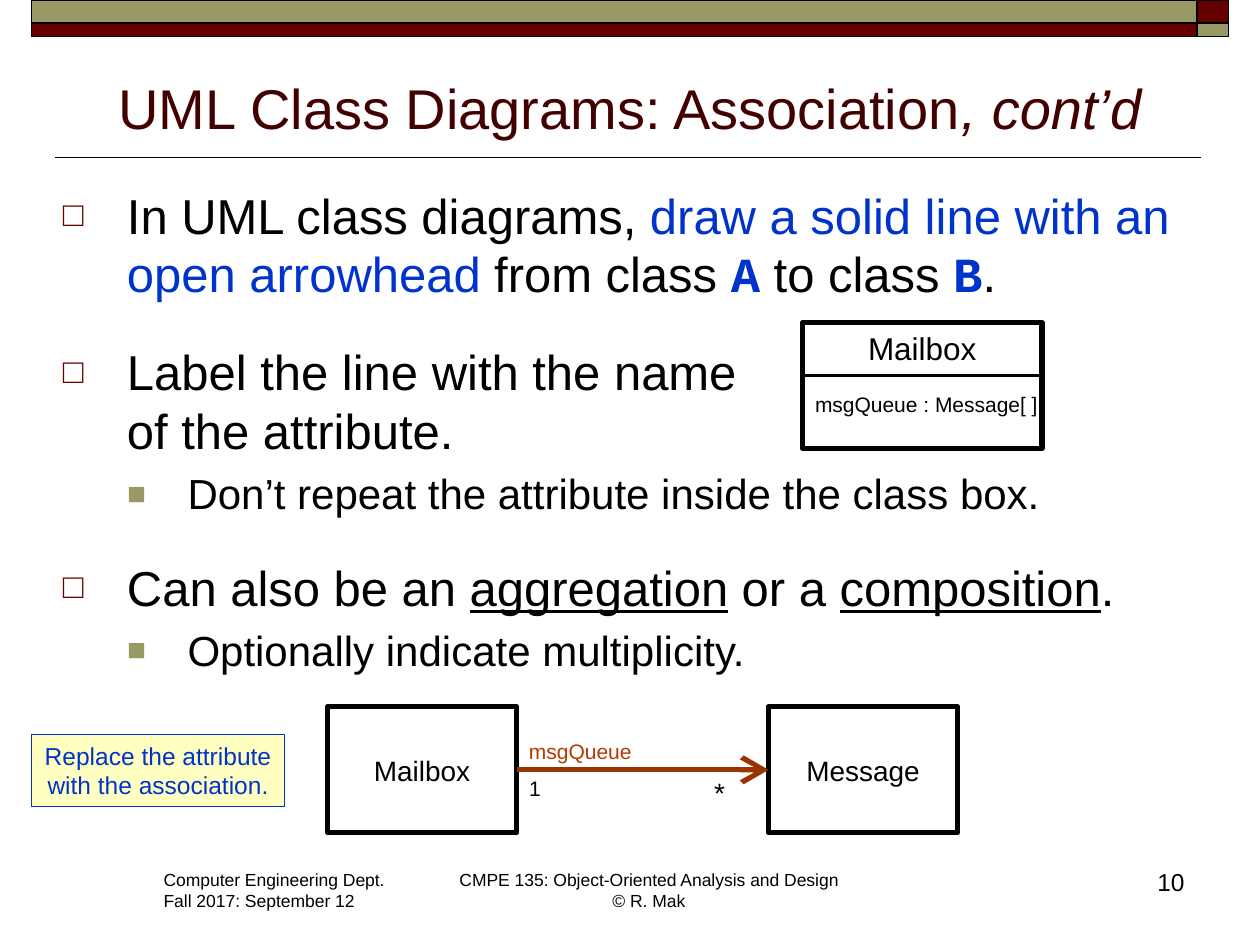
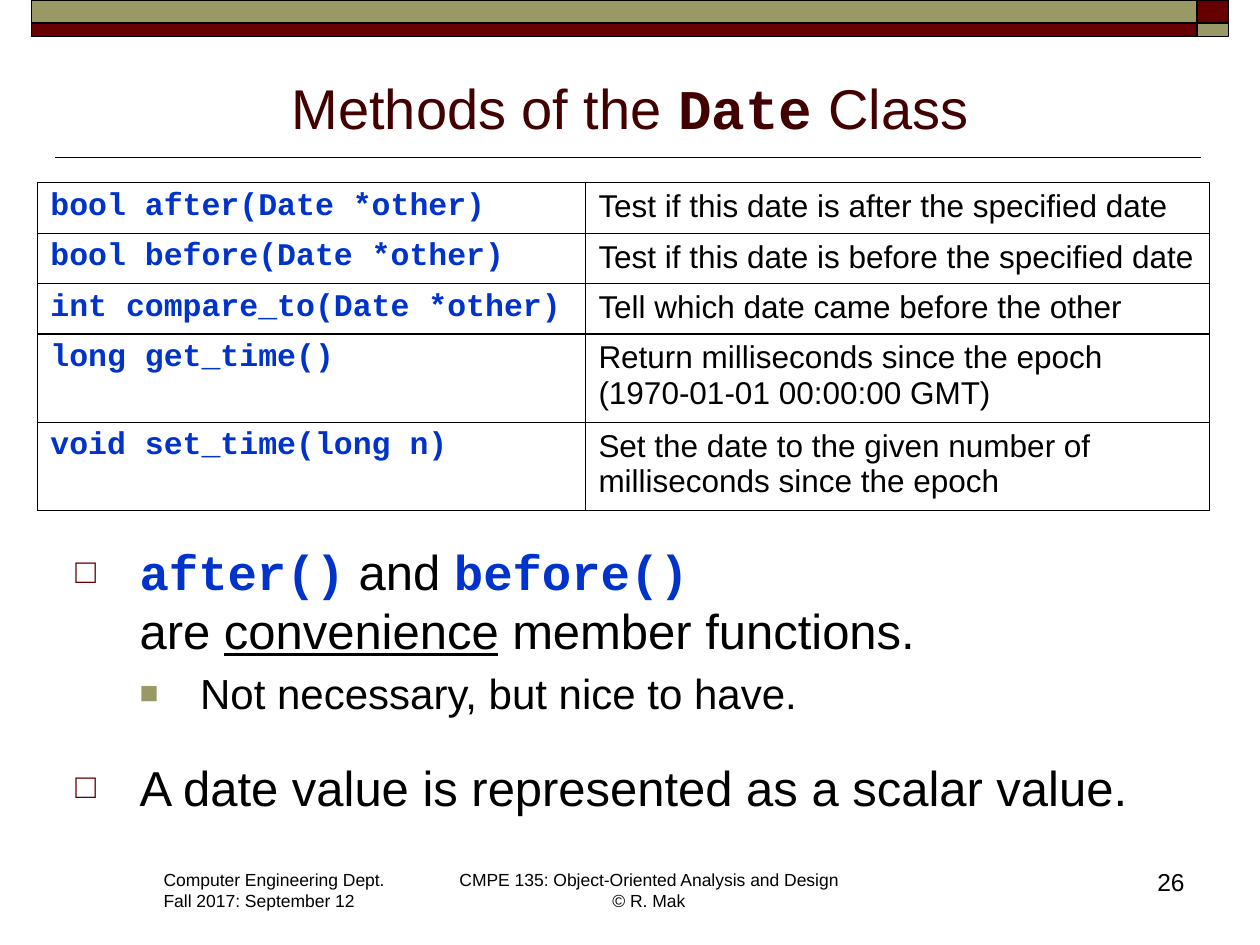
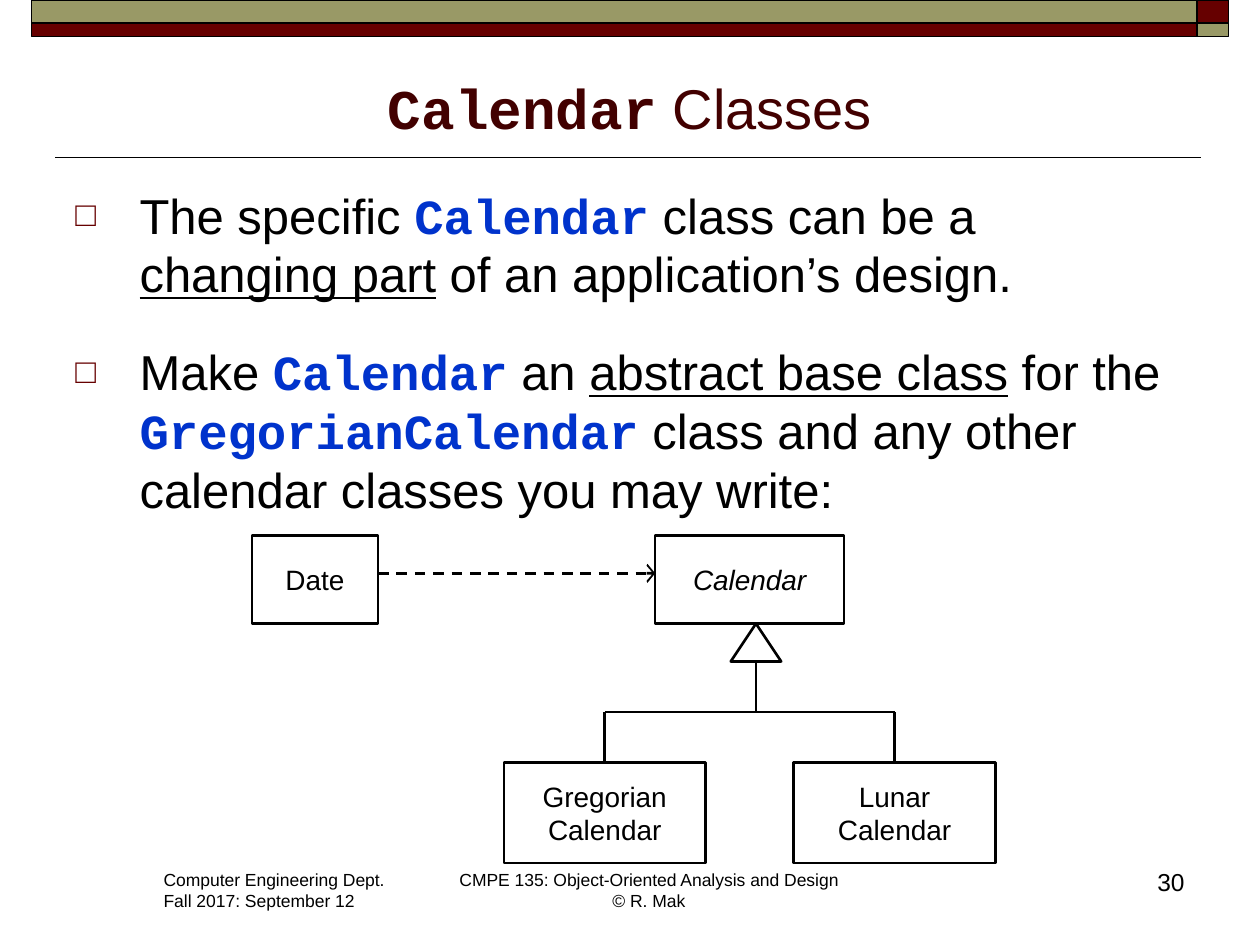
import dataclasses
import typing

import lxml.etree
import pptx
import pptx.dml.color
import pptx.enum.dml
import pptx.enum.shapes
import pptx.enum.text
import pptx.oxml.ns
import pptx.util

# Scale: 100 px to the inch
PX = 9144
PAGE_SIZE = (1000, 750)

# Colours
BLACK = pptx.dml.color.RGBColor(0x00, 0x00, 0x00)
MAROON = pptx.dml.color.RGBColor(0x66, 0x00, 0x00)
OLIVE = pptx.dml.color.RGBColor(0x99, 0x99, 0x66)
TITLE_BROWN = pptx.dml.color.RGBColor(0x42, 0x00, 0x00)
BLUE = pptx.dml.color.RGBColor(0x00, 0x33, 0xCC)
RUST = pptx.dml.color.RGBColor(0x99, 0x33, 0x00)
LABEL_RUST = pptx.dml.color.RGBColor(0xB2, 0x3C, 0x00)
NOTE_YELLOW = pptx.dml.color.RGBColor(0xFF, 0xFF, 0xC2)

SANS = "Arial"
MONO = "Courier New"

ALIGN = pptx.enum.text.PP_ALIGN
ANCHOR = pptx.enum.text.MSO_ANCHOR
SHAPE = pptx.enum.shapes.MSO_SHAPE
Area = tuple[int, int, int, int]


@dataclasses.dataclass(frozen=True)
class Span:
    text: str
    color: pptx.dml.color.RGBColor = BLACK
    font: str = SANS
    bold: bool = False
    italic: bool = False
    underline: bool = False


@dataclasses.dataclass(frozen=True)
class Bullet:
    symbol: str
    color: pptx.dml.color.RGBColor
    percent: int
    indent: int
    hanging: int
    size: int


@dataclasses.dataclass(frozen=True)
class Para:
    spans: list[Span]
    level: int = 0
    space: float = 0


BULLETS = [Bullet("□", MAROON, 70, 51, 51, 28), Bullet("■", OLIVE, 75, 99, 48, 24)]
TOPIC_GAP = 22.3
DETAIL_GAP = 4.8


def code(text: str) -> Span:
    return Span(text, BLUE, MONO, bold=True)


def underlined(text: str) -> Span:
    return Span(text, underline=True)


def title_code(text: str) -> Span:
    return Span(text, TITLE_BROWN, MONO, bold=True)


def title_text(text: str, italic: bool = False) -> Span:
    return Span(text, TITLE_BROWN, italic=italic)


def emu(*lengths: int) -> list[int]:
    return [length * PX for length in lengths]


def add_element(parent: typing.Any, tag: str, **attributes: str) -> typing.Any:
    return lxml.etree.SubElement(parent, pptx.oxml.ns.qn(tag), attributes)


# Text
def write_spans(para: typing.Any, spans: list[Span], size: float) -> None:
    for span in spans:
        for number, piece in enumerate(span.text.split("\n")):
            if number:
                para.add_line_break()
            if not piece:
                continue
            run = para.add_run()
            run.text = piece
            run.font.name = span.font
            run.font.size = pptx.util.Pt(size)
            run.font.bold = span.bold
            run.font.italic = span.italic
            run.font.underline = span.underline
            run.font.color.rgb = span.color


def write_lines(frame: typing.Any, lines: list[Span], size: float,
                align: typing.Any = ALIGN.LEFT) -> None:
    for number, span in enumerate(lines):
        para = frame.add_paragraph() if number else frame.paragraphs[0]
        para.alignment = align
        write_spans(para, [span], size)


def add_label(page: typing.Any, area: Area, lines: list[Span], size: float,
              align: typing.Any = ALIGN.LEFT, wrap: bool = False) -> None:
    box = page.shapes.add_textbox(*emu(*area))
    box.text_frame.word_wrap = wrap
    write_lines(box.text_frame, lines, size, align)


def add_body(page: typing.Any, area: Area, paras: list[Para]) -> None:
    frame = page.shapes.add_textbox(*emu(*area)).text_frame
    frame.word_wrap = True
    for number, content in enumerate(paras):
        para = frame.add_paragraph() if number else frame.paragraphs[0]
        bullet = BULLETS[content.level]
        properties = para._p.get_or_add_pPr()
        properties.set("marL", str(bullet.indent * PX))
        properties.set("indent", str(-bullet.hanging * PX))
        color = add_element(properties, "a:buClr")
        add_element(color, "a:srgbClr", val=str(bullet.color))
        add_element(properties, "a:buSzPct", val=str(bullet.percent * 1000))
        add_element(properties, "a:buFont", typeface=SANS)
        add_element(properties, "a:buChar", char=bullet.symbol)
        para.space_before = pptx.util.Pt(content.space)
        write_spans(para, content.spans, bullet.size)


# Shapes and lines
def add_box(page: typing.Any, area: Area, fill: typing.Any = None,
            line: pptx.dml.color.RGBColor = BLACK, weight: float = 1,
            kind: typing.Any = SHAPE.RECTANGLE, lines: typing.Sequence[Span] = (),
            size: float = 16, anchor: typing.Any = ANCHOR.MIDDLE) -> typing.Any:
    box = page.shapes.add_shape(kind, *emu(*area))
    box.shadow.inherit = False
    if fill is None:
        box.fill.background()
    else:
        box.fill.solid()
        box.fill.fore_color.rgb = fill
    box.line.color.rgb = line
    box.line.width = pptx.util.Pt(weight)
    if lines:
        box.text_frame.word_wrap = False
        box.text_frame.vertical_anchor = anchor
        write_lines(box.text_frame, list(lines), size, ALIGN.CENTER)
    return box


def add_line(page: typing.Any, ends: Area, weight: float = 1.5,
             color: pptx.dml.color.RGBColor = BLACK, dashed: bool = False,
             arrow_length: str = "") -> typing.Any:
    line = page.shapes.add_connector(pptx.enum.shapes.MSO_CONNECTOR.STRAIGHT, *emu(*ends))
    line.line.color.rgb = color
    line.line.width = pptx.util.Pt(weight)
    if dashed:
        line.line.dash_style = pptx.enum.dml.MSO_LINE.DASH
    if arrow_length:
        add_element(line.line._get_or_add_ln(), "a:tailEnd",
                    type="arrow", w="lg", len=arrow_length)
    add_element(line._element.spPr, "a:effectLst")
    return line


# Frame shared by every page
def add_page(deck: typing.Any, title: list[Span], number: int) -> typing.Any:
    page = deck.slides.add_slide(deck.slide_layouts[5])
    add_line(page, (953, 125, 44, 125), weight=1)
    for left, width, colors in ((950, 25, (MAROON, OLIVE)), (25, 925, (OLIVE, MAROON))):
        for top, height, color in zip((0, 18), (18, 11), colors):
            add_box(page, (left, top, width, height), fill=color)
    add_label(page, (120, 685, 197, 44),
              [Span("Computer Engineering Dept."), Span("Fall 2017: September 12")], 10)
    add_label(page, (353, 685, 324, 44),
              [Span("CMPE 135: Object-Oriented Analysis and Design\n© R. Mak")],
              10, ALIGN.CENTER)
    add_label(page, (890, 683, 60, 50), [Span(str(number))], 14, ALIGN.RIGHT, wrap=True)

    heading = page.shapes.title
    heading.left, heading.top, heading.width, heading.height = emu(50, 45, 900, 72)
    heading.text_frame.vertical_anchor = ANCHOR.BOTTOM
    heading.text_frame.paragraphs[0].alignment = ALIGN.CENTER
    write_spans(heading.text_frame.paragraphs[0], title, 32)
    return page


def add_association_page(deck: typing.Any) -> None:
    page = add_page(deck, [title_text("UML Class Diagrams: Association"),
                           title_text(", cont’d", italic=True)], 10)
    add_body(page, (40, 142, 940, 411), [
        Para([Span("In UML class diagrams, "),
              Span("draw a solid line with an open arrowhead", BLUE),
              Span(" from class "), code("A"), Span(" to class "), code("B"), Span(".")]),
        Para([Span("Label the line with the name \nof the attribute.")], space=TOPIC_GAP),
        Para([Span("Don’t repeat the attribute inside the class box.")], 1, DETAIL_GAP),
        Para([Span("Can also be an "), underlined("aggregation"), Span(" or a "),
              underlined("composition"), Span(".")], space=TOPIC_GAP),
        Para([Span("Optionally indicate multiplicity.")], 1, DETAIL_GAP),
    ])

    # Association between two classes
    mailbox, message = [
        add_box(page, (left, 561, 150, 100), weight=3, lines=[Span(name)])
        for left, name in ((260, "Mailbox"), (610, "Message"))]
    association = add_line(page, (410, 611, 610, 611), 3, RUST, arrow_length="lg")
    association.begin_connect(mailbox, 3)
    association.end_connect(message, 1)
    add_label(page, (410, 581, 120, 30), [Span("msgQueue", LABEL_RUST)], 12)
    add_label(page, (410, 611, 29, 30), [Span("1")], 12)
    add_label(page, (557, 611, 33, 50), [Span("*")], 16)

    # Class with its attribute
    add_box(page, (637, 256, 190, 100), weight=3)
    add_box(page, (637, 256, 190, 42), weight=1.5, lines=[Span("Mailbox")], size=18,
            anchor=ANCHOR.TOP)
    add_label(page, (637, 306, 205, 30), [Span("msgQueue : Message[ ]")], 12)

    add_box(page, (25, 583, 201, 57), NOTE_YELLOW, BLUE, 0.75, size=14, lines=[
        Span("Replace the attribute", BLUE), Span("with the association.", BLUE)])


def add_method_table(page: typing.Any) -> None:
    methods = [
        ("bool after(Date *other)", "Test if this date is after the specified date", 40),
        ("bool before(Date *other)", "Test if this date is before the specified date", 40),
        ("int compare_to(Date *other)", "Tell which date came before the other", 40),
        ("long get_time()",
         "Return milliseconds since the epoch\n(1970-01-01 00:00:00 GMT)", 67),
        ("void set_time(long n)",
         "Set the date to the given number of milliseconds since the epoch", 67),
    ]
    height = sum(method[2] for method in methods)
    table = page.shapes.add_table(len(methods), 2, *emu(30, 145, 930, height)).table
    table.first_row = False
    table.horz_banding = False
    for column, width in zip(table.columns, emu(435, 495)):
        column.width = width
    for row, (method, meaning, row_height) in zip(table.rows, methods):
        row.height = row_height * PX
        for cell, span in zip(row.cells, (code(method), Span(meaning))):
            write_lines(cell.text_frame, [span], 18)
            properties = cell._tc.get_or_add_tcPr()
            for side in ("a:lnL", "a:lnR", "a:lnT", "a:lnB"):
                border = add_element(properties, side, w=str(pptx.util.Pt(0.75)))
                fill = add_element(border, "a:solidFill")
                add_element(fill, "a:srgbClr", val=str(BLACK))
            cell.fill.background()


def add_date_page(deck: typing.Any) -> None:
    page = add_page(deck, [title_text("Methods of the "), title_code("Date"),
                           title_text(" Class")], 26)
    add_body(page, (50, 425, 900, 245), [
        Para([code("after()"), Span(" and "), code("before()"), Span("\nare "),
              underlined("convenience"), Span(" member functions.")]),
        Para([Span("Not necessary, but nice to have.")], 1, DETAIL_GAP),
        Para([Span("A date value is represented as a scalar value.")], space=TOPIC_GAP),
    ])
    add_method_table(page)


def add_calendar_page(deck: typing.Any) -> None:
    page = add_page(deck, [title_code("Calendar"), title_text(" Classes")], 30)
    add_body(page, (50, 142, 900, 273), [
        Para([Span("The specific "), code("Calendar"), Span(" class can be a "),
              underlined("changing part"), Span(" of an application’s design.")]),
        Para([Span("Make "), code("Calendar"), Span(" an "),
              underlined("abstract base class"), Span(" for the "),
              code("GregorianCalendar"),
              Span(" class and any other calendar classes you may write:")],
             space=TOPIC_GAP),
    ])

    # Date depends on the abstract class
    add_box(page, (200, 425, 100, 70), weight=1.5, lines=[Span("Date")])
    add_box(page, (520, 425, 150, 70), weight=1.5, lines=[Span("Calendar", italic=True)])
    add_line(page, (300, 455, 520, 455), dashed=True, arrow_length="sm")

    # Inheritance tree
    add_box(page, (580, 495, 40, 30), weight=1.5, kind=SHAPE.ISOSCELES_TRIANGLE)
    add_line(page, (600, 525, 600, 565))
    add_line(page, (480, 565, 710, 565))
    for left, name in ((400, "Gregorian"), (630, "Lunar")):
        subclass = add_box(page, (left, 605, 160, 80), weight=1.5,
                           lines=[Span(name), Span("Calendar")])
        center = left + 80
        branch = add_line(page, (center, 605, center, 565))
        branch.begin_connect(subclass, 0)


def main() -> None:
    deck = pptx.Presentation()
    deck.slide_width, deck.slide_height = emu(*PAGE_SIZE)
    add_association_page(deck)
    add_date_page(deck)
    add_calendar_page(deck)
    deck.save("out.pptx")


if __name__ == "__main__":
    main()
